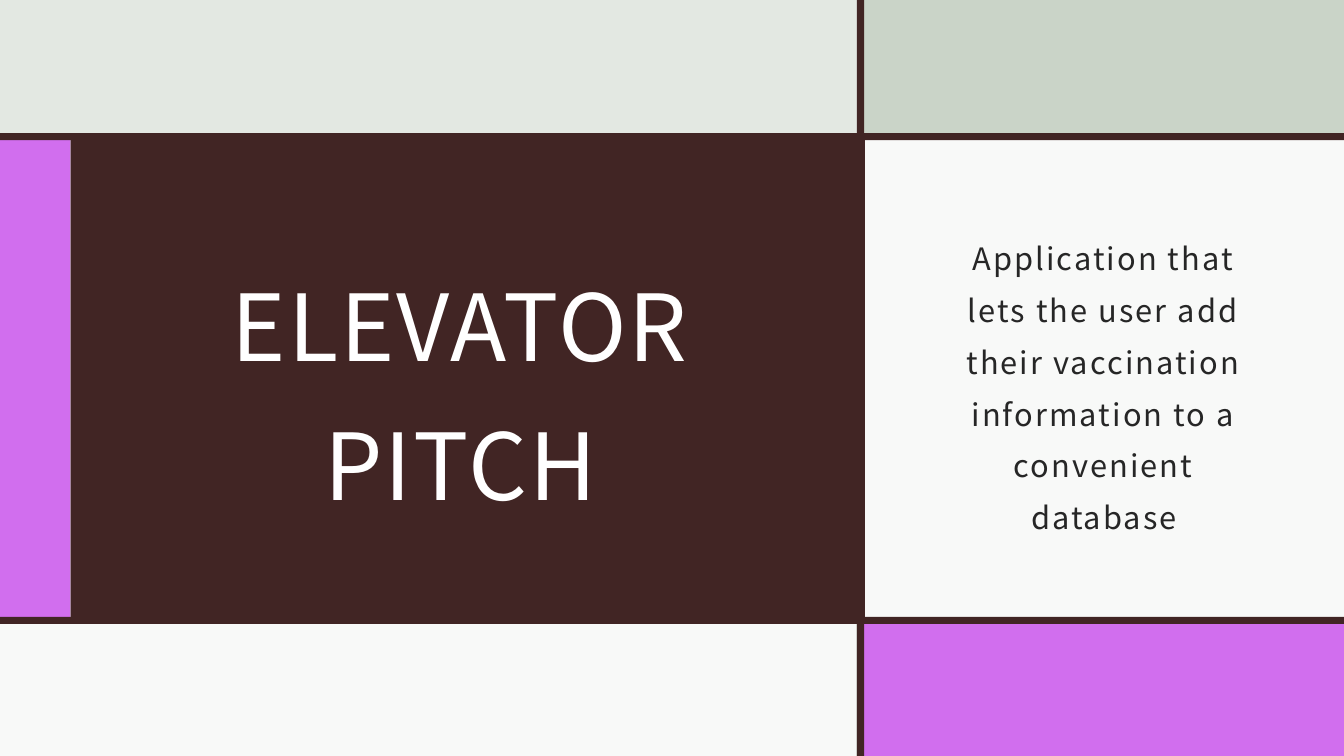
from pptx import Presentation
from pptx.dml.color import RGBColor
from pptx.enum.shapes import MSO_SHAPE
from pptx.enum.text import MSO_ANCHOR, MSO_AUTO_SIZE, PP_ALIGN
from pptx.util import Inches, Pt

SAGE_LIGHT = RGBColor(0xE3, 0xE8, 0xE2)
SAGE = RGBColor(0xCA, 0xD4, 0xC8)
ORCHID = RGBColor(0xD1, 0x6E, 0xEE)
MAROON = RGBColor(0x41, 0x25, 0x24)
OFF_WHITE = RGBColor(0xF8, 0xF9, 0xF8)
WHITE = RGBColor(0xFF, 0xFF, 0xFF)
CHARCOAL = RGBColor(0x26, 0x26, 0x26)

WIDTH, HEIGHT = 13.33, 7.5
RULE = 0.07


class PitchSlide:
    font = "Noto Sans CJK JP"
    letter_spacing = Pt(1.5)

    def __init__(self, presentation):
        section_header = presentation.slide_layouts[2]
        self.slide = presentation.slides.add_slide(section_header)
        background = self.slide.background.fill
        background.solid()
        background.fore_color.rgb = SAGE_LIGHT

    def tile(self, left, top, width, height, color):
        tile = self.slide.shapes.add_shape(
            MSO_SHAPE.RECTANGLE,
            Inches(left), Inches(top), Inches(width), Inches(height))
        tile.shadow.inherit = False
        tile.fill.solid()
        tile.fill.fore_color.rgb = color
        tile.line.fill.background()

    def text(self, placeholder, box, wording, size, color, line_spacing, space_before=0):
        """Fill a placeholder, place it and bring it in front of the tiles."""
        placeholder.left, placeholder.top, placeholder.width, placeholder.height = map(Inches, box)
        self.slide.shapes._spTree.append(placeholder._element)
        frame = placeholder.text_frame
        frame.text = wording
        frame.word_wrap = True
        frame.auto_size = MSO_AUTO_SIZE.NONE
        frame.vertical_anchor = MSO_ANCHOR.MIDDLE
        frame.margin_left = frame.margin_top = frame.margin_right = Inches(0.12)
        frame.margin_bottom = Inches(0.1)
        paragraph = frame.paragraphs[0]
        paragraph.alignment = PP_ALIGN.CENTER
        paragraph.line_spacing = line_spacing
        paragraph.space_before = Pt(space_before)
        run = paragraph.runs[0]
        run.font.name = self.font
        run.font.size = Pt(size)
        run.font.bold = False
        run.font.color.rgb = color
        run._r.get_or_add_rPr().set("spc", str(int(self.letter_spacing.pt * 100)))


def main():
    presentation = Presentation()
    presentation.slide_width = Inches(WIDTH)
    presentation.slide_height = Inches(HEIGHT)
    pitch = PitchSlide(presentation)

    pitch.tile(8.53, 0, 4.8, 1.33, SAGE)
    pitch.tile(0, 1.38, 0.7, 4.77, ORCHID)
    pitch.tile(0.7, 1.35, 7.88, 4.82, MAROON)
    pitch.tile(0, 6.13, 8.49, 1.37, OFF_WHITE)
    pitch.tile(8.58, 1.34, 4.75, 4.84, OFF_WHITE)
    pitch.tile(8.53, 6.16, 4.8, 1.34, ORCHID)

    pitch.tile(8.5, 0, RULE, HEIGHT, MAROON)
    for rule_top in (1.32, 6.12):
        pitch.tile(0, rule_top, WIDTH, RULE, MAROON)

    title, summary = pitch.slide.placeholders
    pitch.text(title, (1.25, 1.68, 6.64, 4.16), "ELEVATOR PITCH", 66, WHITE, 1.25)
    pitch.text(
        summary, (9.28, 2.11, 3.34, 3.31),
        "Application that lets the user add their vaccination "
        "information to a convenient database",
        22, CHARCOAL, 1.4, space_before=9.3)

    presentation.save("out.pptx")


if __name__ == "__main__":
    main()
